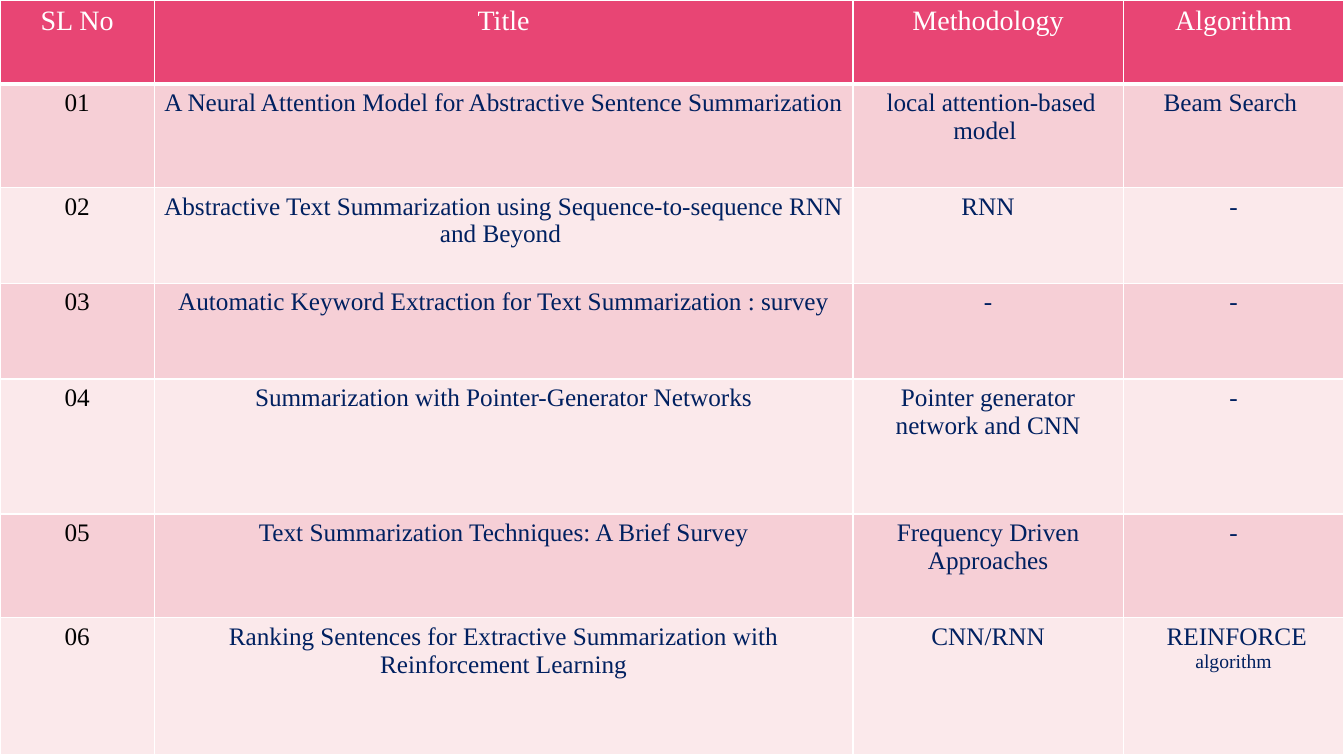
from dataclasses import dataclass

from lxml import etree
from pptx import Presentation
from pptx.dml.color import RGBColor
from pptx.enum.text import PP_ALIGN
from pptx.oxml.ns import qn
from pptx.util import Inches, Pt

CENTER = PP_ALIGN.CENTER


@dataclass(frozen=True)
class Theme:
    font: str = "Times New Roman"
    background: str = "000000"
    header_fill: str = "E84574"
    band_fills: tuple = ("F6CFD6", "FBE9EB")
    header_text: str = "FFFFFF"
    number_text: str = "000000"
    body_text: str = "002060"
    border: str = "FFFFFF"
    header_size: int = 20
    body_size: int = 18
    small_size: int = 14
    border_width: int = 1
    header_rule_width: int = 3


HEADINGS = ["SL No", "Title", "Methodology", "Algorithm"]
PAPERS = [
    ("A Neural Attention Model for Abstractive Sentence Summarization",
     " local attention-based model ", "Beam Search "),
    ("Abstractive Text Summarization using Sequence-to-sequence RNN and Beyond ",
     "RNN", "-"),
    ("Automatic Keyword Extraction for Text Summarization : survey", "-", "-"),
    ("Summarization with Pointer-Generator Networks",
     "Pointer generator network and CNN", "-"),
    ("Text Summarization Techniques: A Brief Survey",
     "Frequency Driven Approaches", "-"),
    ("Ranking Sentences for Extractive Summarization with Reinforcement Learning",
     "CNN/RNN", " REINFORCE "),
]
COLUMN_WIDTHS = [1.53, 6.93, 2.68, 2.19]
ROW_HEIGHTS = [0.83, 1.03, 0.95, 0.95, 1.34, 1.03, 1.36]


class SlideBuilder:
    def __init__(self, slide, theme):
        self.slide = slide
        self.theme = theme

    def background(self):
        fill = self.slide.background.fill
        fill.solid()
        fill.fore_color.rgb = RGBColor.from_string(self.theme.background)

    def table(self, rows, left, top, widths, heights):
        table = self.slide.shapes.add_table(
            len(rows), len(widths), Inches(left), Inches(top),
            Inches(sum(widths)), Inches(sum(heights))).table
        for column, width in zip(table.columns, widths):
            column.width = Inches(width)
        for row, height in zip(table.rows, heights):
            row.height = Inches(height)
        for row_index, texts in enumerate(rows):
            for column_index, text in enumerate(texts):
                self.cell(table.cell(row_index, column_index), text,
                          row_index, column_index)
        return table

    def cell(self, cell, text, row_index, column_index):
        theme = self.theme
        if row_index == 0:
            fill, color, size = theme.header_fill, theme.header_text, theme.header_size
        else:
            fill = theme.band_fills[(row_index - 1) % 2]
            color = theme.number_text if column_index == 0 else theme.body_text
            size = theme.body_size
        cell.margin_left = cell.margin_right = Inches(0.07)
        cell.margin_top = cell.margin_bottom = Inches(0.05)
        self.borders(cell, row_index)
        cell.fill.solid()
        cell.fill.fore_color.rgb = RGBColor.from_string(fill)
        cell.text_frame.text = text
        paragraph = cell.text_frame.paragraphs[0]
        paragraph.alignment = CENTER
        self.style_run(paragraph.runs[0], size, color)

    def borders(self, cell, row_index):
        theme = self.theme
        widths = dict.fromkeys(("lnL", "lnR", "lnT", "lnB"), theme.border_width)
        if row_index == 0:
            widths["lnB"] = theme.header_rule_width
        elif row_index == 1:
            widths["lnT"] = theme.header_rule_width
        properties = cell._tc.get_or_add_tcPr()
        for side, width in widths.items():
            line = etree.SubElement(properties, qn(f"a:{side}"), w=str(Pt(width)))
            solid = etree.SubElement(line, qn("a:solidFill"))
            etree.SubElement(solid, qn("a:srgbClr"), val=theme.border)

    def small_run(self, cell, text):
        run = cell.text_frame.paragraphs[0].add_run()
        run.text = text
        self.style_run(run, self.theme.small_size, self.theme.body_text)

    def style_run(self, run, size, color):
        run.font.name = self.theme.font
        run.font.size = Pt(size)
        run.font.bold = False
        run.font.color.rgb = RGBColor.from_string(color)


def main():
    presentation = Presentation()
    presentation.slide_width = Inches(13.33)
    presentation.slide_height = Inches(7.5)
    slide = presentation.slides.add_slide(presentation.slide_layouts[6])
    builder = SlideBuilder(slide, Theme())
    builder.background()
    numbered_papers = [(f"{number:02d}", *paper)
                       for number, paper in enumerate(PAPERS, start=1)]
    survey = builder.table([HEADINGS, *numbered_papers], 0, 0,
                           COLUMN_WIDTHS, ROW_HEIGHTS)
    builder.small_run(survey.cell(len(PAPERS), 3), "algorithm")
    presentation.save("out.pptx")


if __name__ == "__main__":
    main()
